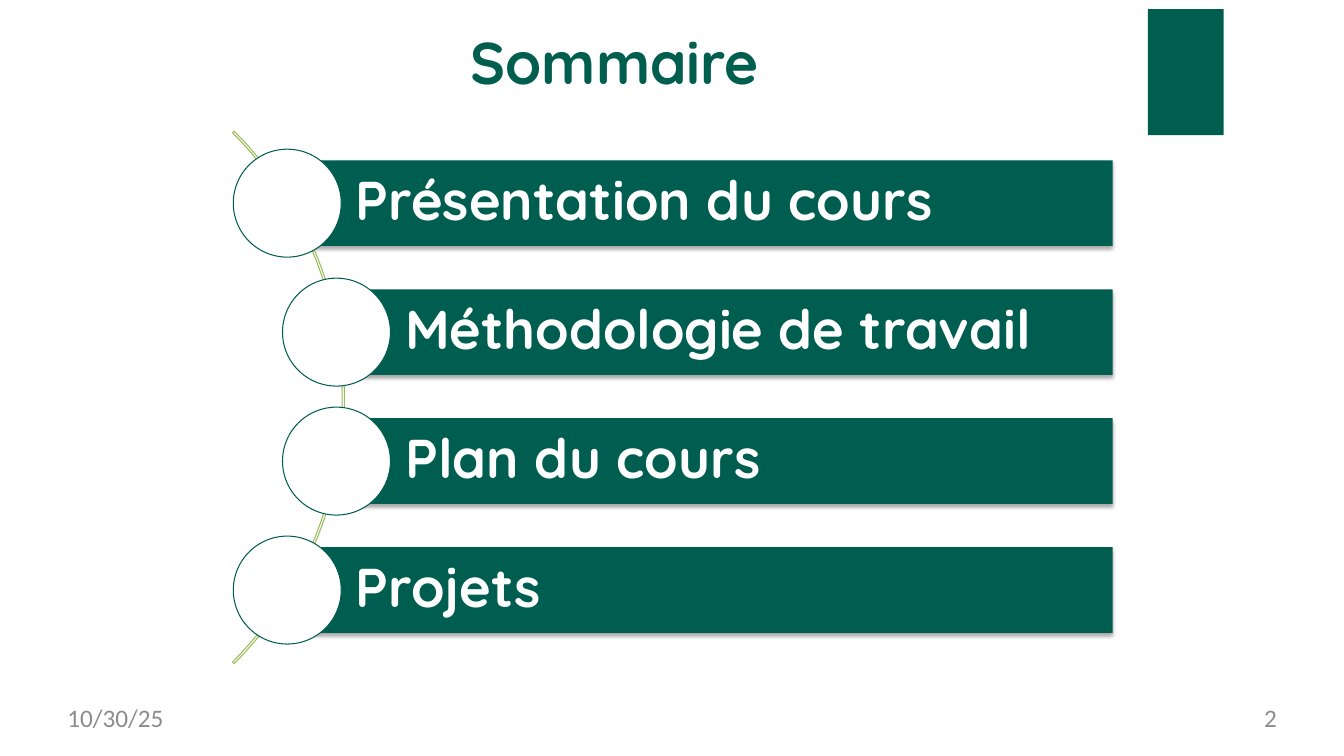
"""Build the course summary slide with its four curved list items."""
from dataclasses import dataclass

from lxml.etree import SubElement
from pptx import Presentation
from pptx.dml.color import RGBColor
from pptx.enum.shapes import MSO_SHAPE as Kind
from pptx.enum.text import MSO_ANCHOR as Anchor, PP_ALIGN as Align
from pptx.oxml.ns import qn
from pptx.util import Cm, Pt

GREEN, WHITE, GREY, LIME = "005E4F", "FFFFFF", "8C8C8C", "9BBB59"
BAR = "005E50"
RIGHT, TOP, STEP = 28.04, 4.04, 3.25
TALL, DISC = 2.16, 2.72


@dataclass
class Item:
    text: str
    left: float


@dataclass
class Label:
    text: str
    box: tuple
    size: float
    font: str
    color: str
    bold: bool = False
    align: Align = Align.LEFT


ITEMS = [
    Item("Présentation du cours", 7.24),
    Item("Méthodologie de travail", 8.48),
    Item("Plan du cours", 8.48),
    Item("Projets", 7.24),
]
LABELS = [
    Label("10/30/25", (1.7, 17.7, 7.8, 0.97), 18, "Calibri", GREY),
    Label("2", (24.38, 17.7, 7.8, 0.97), 18, "Calibri", GREY, align=Align.RIGHT),
    Label("Sommaire", (11.86, 0.64, 8.26, 1.83), 42, "Quicksand", GREEN, True),
]


def tint(code: str) -> RGBColor:
    return RGBColor.from_string(code)


def add_form(slide, kind: Kind, box: tuple, fill: str = "", line: str = ""):
    form = slide.shapes.add_shape(kind, *map(Cm, box))
    form.shadow.inherit = False
    if fill:
        form.fill.solid()
        form.fill.fore_color.rgb = tint(fill)
    else:
        form.fill.background()
    if line:
        form.line.color.rgb = tint(line)
        form.line.width = Pt(0.75)
    else:
        form.line.fill.background()
    return form


def set_text(form, text: str, size: float, font: str, color: str, bold: bool,
             pads: tuple, align: Align = Align.LEFT):
    frame = form.text_frame
    frame.word_wrap = True
    (frame.margin_left, frame.margin_top,
     frame.margin_right, frame.margin_bottom) = map(Cm, pads)
    frame.text = text
    para = frame.paragraphs[0]
    para.alignment = align
    face = para.runs[0].font
    face.name, face.size, face.bold = font, Pt(size), bold
    face.color.rgb = tint(color)
    return frame


def add_shade(form) -> None:
    effects = form._element.spPr.find(qn("a:effectLst"))
    shade = SubElement(effects, qn("a:outerShdw"), blurRad=str(Pt(3.1)),
                       dist=str(Pt(1.8)), dir="5400000", rotWithShape="0")
    color = SubElement(shade, qn("a:srgbClr"), val="000000")
    SubElement(color, qn("a:alpha"), val="35000")


def add_label(slide, label: Label) -> None:
    form = slide.shapes.add_textbox(*map(Cm, label.box))
    set_text(form, label.text, label.size, label.font, label.color,
             label.bold, (0, 0, 0, 0), label.align)


def add_item(slide, item: Item, top: float) -> None:
    bar = add_form(slide, Kind.RECTANGLE,
                   (item.left, top, RIGHT - item.left, TALL), BAR)
    add_shade(bar)
    frame = set_text(bar, item.text, 39, "Quicksand", WHITE, True,
                     (1.73, 0.28, 0.28, 0.28))
    frame.vertical_anchor = Anchor.MIDDLE
    frame.paragraphs[0].line_spacing = 0.9
    add_form(slide, Kind.OVAL,
             (item.left - DISC / 2, top + (TALL - DISC) / 2, DISC, DISC),
             WHITE, GREEN)


def main() -> None:
    deck = Presentation()
    deck.slide_width, deck.slide_height = Cm(33.87), Cm(19.05)
    slide = deck.slides.add_slide(deck.slide_layouts[6])
    add_form(slide, Kind.RECTANGLE, (28.93, 0.23, 1.91, 3.18), GREEN)
    for label in LABELS:
        add_label(slide, label)
    arc = add_form(slide, Kind.BLOCK_ARC, (-10.29, 0.53, 18.97, 18.97), line=LIME)
    for spot, value in enumerate((189, 27, 0.003)):
        arc.adjustments[spot] = value
    for row, item in enumerate(ITEMS):
        add_item(slide, item, TOP + row * STEP)
    deck.save("out.pptx")


if __name__ == "__main__":
    main()
